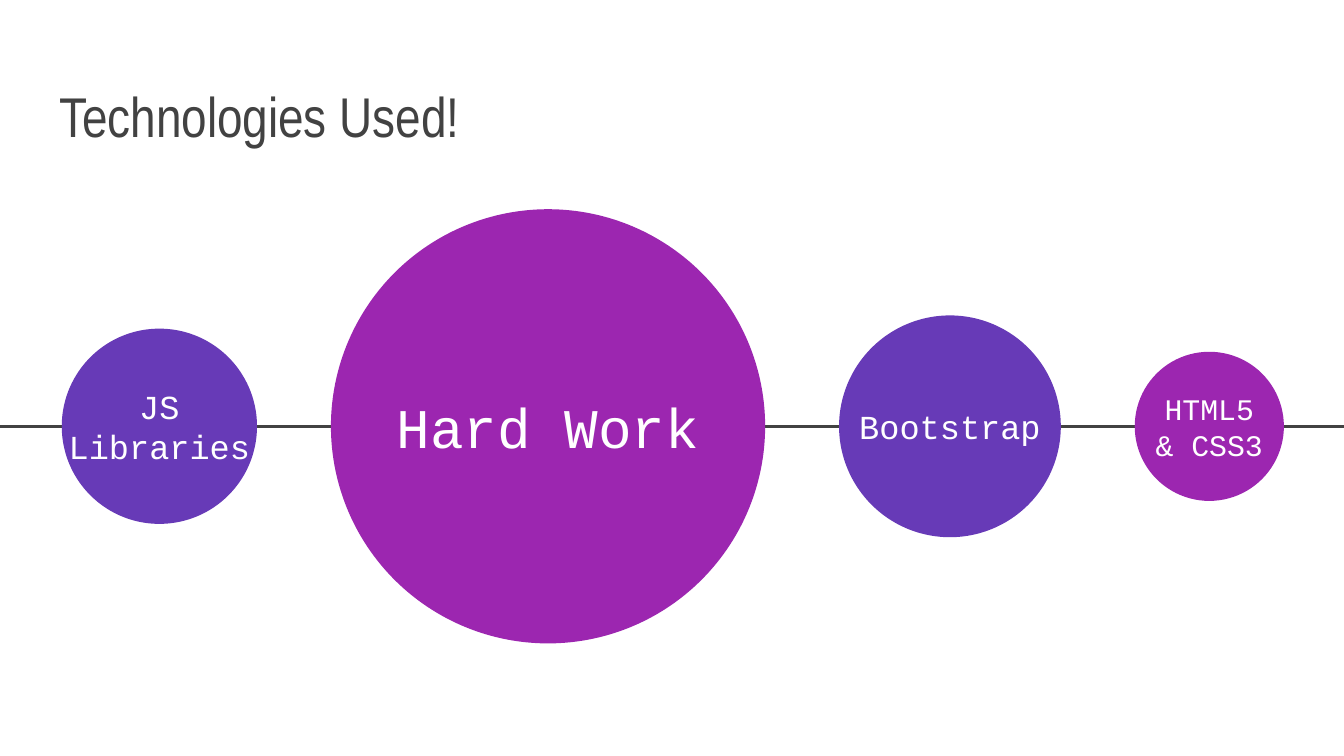
from pptx import Presentation
from pptx.dml.color import RGBColor
from pptx.enum.shapes import MSO_CONNECTOR, MSO_SHAPE
from pptx.enum.text import MSO_ANCHOR, MSO_AUTO_SIZE, PP_ALIGN
from pptx.oxml import parse_xml
from pptx.oxml.ns import nsdecls
from pptx.util import Pt

OVAL = MSO_SHAPE.OVAL
LINE = MSO_CONNECTOR.STRAIGHT
LEFT, CENTER = PP_ALIGN.LEFT, PP_ALIGN.CENTER
MIDDLE, BOTTOM = MSO_ANCHOR.MIDDLE, MSO_ANCHOR.BOTTOM
NO_FIT = MSO_AUTO_SIZE.NONE

WIDE, HIGH = 720, 405
AXIS = 228.4
START, GAP = 33.1, 39.6
LABEL_HIGH = 47.5
INSET = 7.2
GRAY, WHITE = "424242", "FFFFFF"
VIOLET, PURPLE = "673AB7", "9C26B0"
SANS, MONO = "Arial Narrow", "Courier New"

NODES = [
    ("JS Libraries", 104.6, VIOLET, 18, 4.2),
    ("Hard Work", 232.6, PURPLE, 30, 0),
    ("Bootstrap", 118.8, VIOLET, 18, 0),
    ("HTML5 & CSS3", 79.9, PURPLE, 16, 0),
]


def color(code):
    return RGBColor.from_string(code)


def write(shape, text, size, face, tint, align, anchor):
    frame = shape.text_frame
    frame.word_wrap = True
    frame.auto_size = NO_FIT
    frame.vertical_anchor = anchor
    frame.margin_left = frame.margin_right = Pt(INSET)
    frame.margin_top = frame.margin_bottom = Pt(INSET)
    para = frame.paragraphs[0]
    para.alignment = align
    run = para.add_run()
    run.text = text
    run.font.size = Pt(size)
    run.font.name = face
    run.font.color.rgb = color(tint)


def add_title(slide, text):
    title = slide.shapes.title
    title.left, title.top = Pt(24.5), Pt(29.5)
    title.width, title.height = Pt(671), Pt(57.6)
    write(title, text, 30, SANS, GRAY, LEFT, BOTTOM)


def add_axis(slide):
    line = slide.shapes.add_connector(LINE, Pt(0), Pt(AXIS), Pt(WIDE), Pt(AXIS))
    line.line.color.rgb = color(GRAY)
    line.line.width = Pt(1.5)
    line._element.spPr.append(parse_xml(f"<a:effectLst {nsdecls('a')}/>"))


def add_disc(slide, left, size, fill):
    disc = slide.shapes.add_shape(
        OVAL, Pt(left), Pt(AXIS - size / 2), Pt(size), Pt(size))
    disc.shadow.inherit = False
    disc.fill.solid()
    disc.fill.fore_color.rgb = color(fill)
    disc.line.fill.background()


def add_label(slide, left, width, text, size):
    box = slide.shapes.add_textbox(
        Pt(left), Pt(AXIS - LABEL_HIGH / 2), Pt(width), Pt(LABEL_HIGH))
    write(box, text, size, MONO, WHITE, CENTER, MIDDLE)


def main():
    deck = Presentation()
    deck.slide_width, deck.slide_height = Pt(WIDE), Pt(HIGH)
    slide = deck.slides.add_slide(deck.slide_layouts[5])
    slide.background.fill.solid()
    slide.background.fill.fore_color.rgb = color(WHITE)
    add_axis(slide)
    add_title(slide, "Technologies Used!")
    left = START
    for text, width, fill, size, extra in NODES:
        add_disc(slide, left, width, fill)
        add_label(slide, left - extra, width + 2 * extra, text, size)
        left += width + GAP
    deck.save("out.pptx")


if __name__ == "__main__":
    main()
